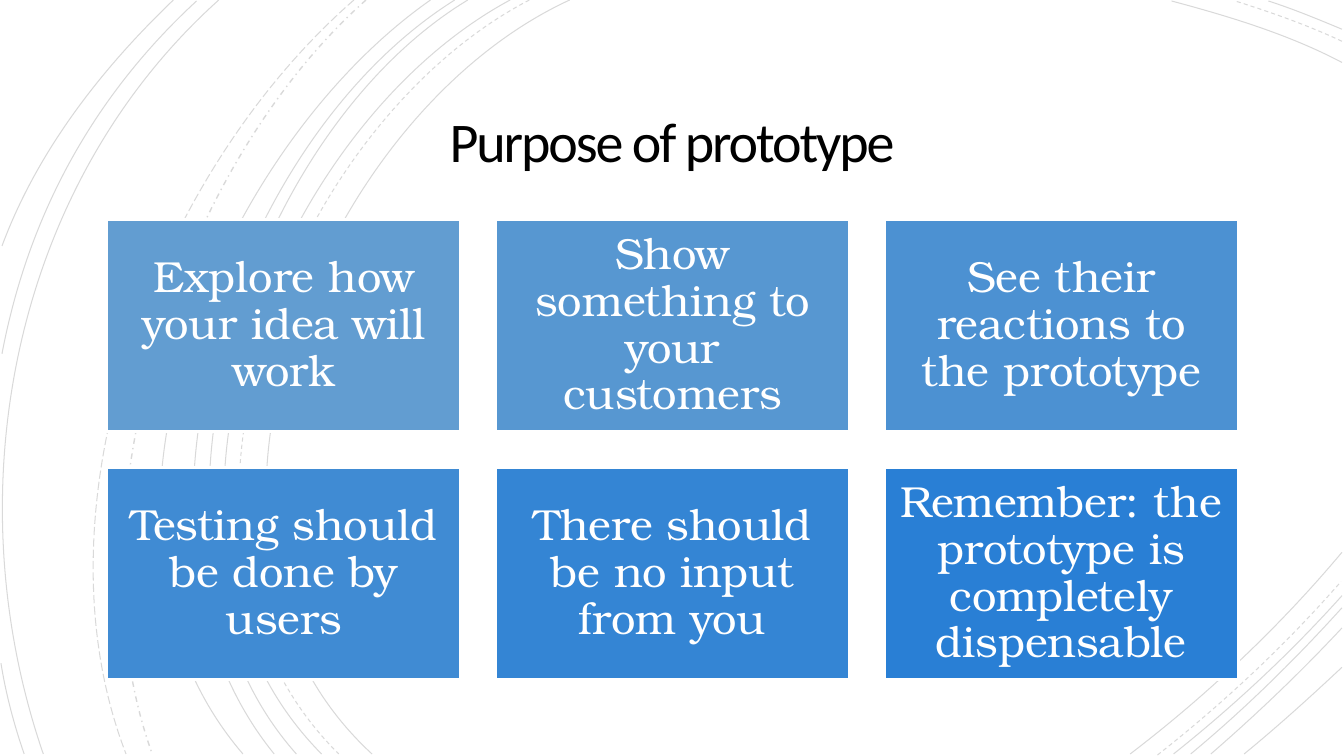
from dataclasses import dataclass

from lxml import etree
from pptx import Presentation
from pptx.dml.color import RGBColor
from pptx.enum.dml import MSO_LINE
from pptx.enum.shapes import MSO_SHAPE
from pptx.enum.text import MSO_ANCHOR, PP_ALIGN
from pptx.oxml.ns import qn
from pptx.shapes.autoshape import Shape
from pptx.slide import Slide
from pptx.util import Inches, Pt

RECT = MSO_SHAPE.RECTANGLE
MIDDLE = MSO_ANCHOR.MIDDLE
CENTER = PP_ALIGN.CENTER
SOLID, DASH = MSO_LINE.SOLID, MSO_LINE.DASH
LONG, DOTTED = MSO_LINE.LONG_DASH, MSO_LINE.DASH_DOT


@dataclass(frozen=True)
class Theme:
    ink: str = "000000"
    paper: str = "FFFFFF"
    head_font: str = "Calibri"
    body_font: str = "TeX Gyre Bonum"
    head_size: float = 40
    body_size: float = 31
    arc_alpha: int = 15  # percent


@dataclass(frozen=True)
class Arc:
    """A cubic curve: start, two handles and end, as x, y pairs in inches."""
    points: tuple[float, ...]
    dash: MSO_LINE = SOLID
    width: float = 0.75


@dataclass(frozen=True)
class Card:
    text: str
    fill: str


@dataclass(frozen=True)
class Style:
    font: str
    size: float
    color: str
    pad: float
    lead: float
    track: int = 0  # hundredths of a point


THEME = Theme()
HEAD = Style(THEME.head_font, THEME.head_size, THEME.ink, 0.25, 0.85, -150)
BODY = Style(THEME.body_font, THEME.body_size, THEME.paper, 0.13, 0.9)

ARCS = [
    # Long sweeps on the left
    Arc((5.65, 0, 3.15, 1.15, 1.43, 5.4, 3.69, 7.48)),
    Arc((5.25, 0, 2.85, 1.25, 1.23, 5.37, 3.36, 7.48), DASH),
    Arc((5.06, 0, 2.7, 1.27, 1.1, 5.37, 3.19, 7.48)),
    Arc((4.64, 0, 2.44, 1.33, 1.1, 5.41, 2.94, 7.48)),
    Arc((4.51, 0, 2.31, 1.38, 0.97, 5.33, 2.72, 7.48)),
    Arc((4.27, 0, 2.17, 1.47, 0.53, 5.29, 2.41, 7.48)),
    Arc((3.63, 0, 1.76, 1.66, 0.65, 5.09, 1.51, 7.48), DOTTED, 1),
    Arc((3.51, 0, 1.57, 1.69, 0.29, 4.99, 1.25, 7.48), LONG),
    Arc((2.17, 0, 0.11, 1.85, -0.46, 4.9, 0.43, 7.48)),
    # Short pieces at the left edge
    Arc((1.95, 0.01, 0.92, 0.96, 0.28, 2.14, 0.02, 3.51)),
    Arc((0.01, 6.58, 0.06, 6.89, 0.14, 7.19, 0.24, 7.48)),
    Arc((1.72, 0, 1, 0.69, 0.37, 1.5, 0.02, 2.44)),
    # Top right corner
    Arc((13.31, 0.62, 12.78, 0.34, 12.18, 0.16, 11.62, 0.01)),
    Arc((13.31, 0.41, 12.97, 0.25, 12.6, 0.12, 12.25, 0.01), DASH),
    Arc((13.31, 0.29, 13.07, 0.19, 12.83, 0.09, 12.58, 0.01)),
    # Bottom right corner
    Arc((11.21, 7.48, 11.97, 6.9, 12.69, 6.22, 13.31, 5.48)),
    Arc((11.48, 7.49, 12.13, 6.98, 12.75, 6.4, 13.3, 5.77), DASH),
    Arc((11.64, 7.48, 12.23, 7.01, 12.8, 6.48, 13.31, 5.91)),
    Arc((11.81, 7.48, 12.34, 7.04, 12.84, 6.55, 13.31, 6.03)),
    Arc((12.01, 7.48, 12.46, 7.09, 12.9, 6.67, 13.31, 6.23)),
    Arc((12.34, 7.48, 12.67, 7.21, 12.99, 6.92, 13.31, 6.62)),
]

CARDS = [
    Card("Explore how your idea will work", "629DD1"),
    Card("Show something to your customers", "5797D1"),
    Card("See their reactions to the prototype", "4C91D2"),
    Card("Testing should be done by users", "408BD3"),
    Card("There should be no input from you", "3485D4"),
    Card("Remember: the prototype is completely dispensable", "297FD5"),
]

# Slide and card grid, in inches
PAGE_W, PAGE_H = 13.33, 7.5
COLS = 3
LEFT, LAST = 1.06, 8.77  # left edges of the outer columns
TOP, STEP_Y = 2.18, 2.46
STEP_X = (LAST - LEFT) / (COLS - 1)
WIDE, HIGH = 3.51, 2.1


def rgb(code: str) -> RGBColor:
    return RGBColor.from_string(code)


def bend(curve: Shape) -> None:
    """Turn the three segments of a shape into one cubic curve."""
    geom = curve.element.spPr.find(qn("a:custGeom"))
    track = geom.find(".//" + qn("a:path"))
    cubic = etree.SubElement(track, qn("a:cubicBezTo"))
    for leg in track.findall(qn("a:lnTo")):
        cubic.append(leg[0])
        track.remove(leg)


def draw_arc(slide: Slide, arc: Arc) -> None:
    spots = [Inches(value) for value in arc.points]
    first, *rest = zip(spots[::2], spots[1::2])
    pen = slide.shapes.build_freeform(*first)
    pen.add_line_segments(rest, close=False)
    curve = pen.convert_to_shape()
    bend(curve)
    curve.shadow.inherit = False
    curve.fill.background()
    line = curve.line
    line.color.rgb = rgb(THEME.ink)
    line.width = Pt(arc.width)
    line.dash_style = arc.dash
    color = curve.element.spPr.find(qn("a:ln")).find(".//" + qn("a:srgbClr"))
    etree.SubElement(color, qn("a:alpha"), val=str(THEME.arc_alpha * 1000))


def add_box(slide: Slide, left: float, top: float, wide: float, high: float,
            fill: str) -> Shape:
    box = slide.shapes.add_shape(
        RECT, Inches(left), Inches(top), Inches(wide), Inches(high))
    box.shadow.inherit = False
    box.fill.solid()
    box.fill.fore_color.rgb = rgb(fill)
    box.line.fill.background()
    return box


def write(shape: Shape, text: str, style: Style) -> None:
    frame = shape.text_frame
    frame.word_wrap = True
    frame.vertical_anchor = MIDDLE
    frame.margin_left = frame.margin_right = Inches(style.pad)
    frame.margin_top = frame.margin_bottom = Inches(style.pad)
    para = frame.paragraphs[0]
    para.alignment = CENTER
    para.line_spacing = style.lead
    run = para.add_run()
    run.text = text
    run.font.name = style.font
    run.font.size = Pt(style.size)
    run.font.color.rgb = rgb(style.color)
    if style.track:
        run.font._element.set("spc", str(style.track))


def draw_card(slide: Slide, card: Card, index: int) -> None:
    row, col = divmod(index, COLS)
    left, top = LEFT + col * STEP_X, TOP + row * STEP_Y
    box = add_box(slide, left, top, WIDE, HIGH, card.fill)
    box.line.color.rgb = rgb(THEME.paper)
    box.line.width = Pt(2)
    write(box, card.text, BODY)


def main() -> None:
    deck = Presentation()
    deck.slide_width, deck.slide_height = Inches(PAGE_W), Inches(PAGE_H)
    slide = deck.slides.add_slide(deck.slide_layouts[6])

    # Backdrop
    add_box(slide, 0, 0, PAGE_W, PAGE_H, THEME.paper)
    for arc in ARCS:
        draw_arc(slide, arc)

    # Title
    title = slide.shapes.add_textbox(
        Inches(1.92), Inches(0.87), Inches(9.49), Inches(1.15))
    write(title, "Purpose of prototype", HEAD)

    # Cards
    for index, card in enumerate(CARDS):
        draw_card(slide, card, index)

    deck.save("out.pptx")


if __name__ == "__main__":
    main()
